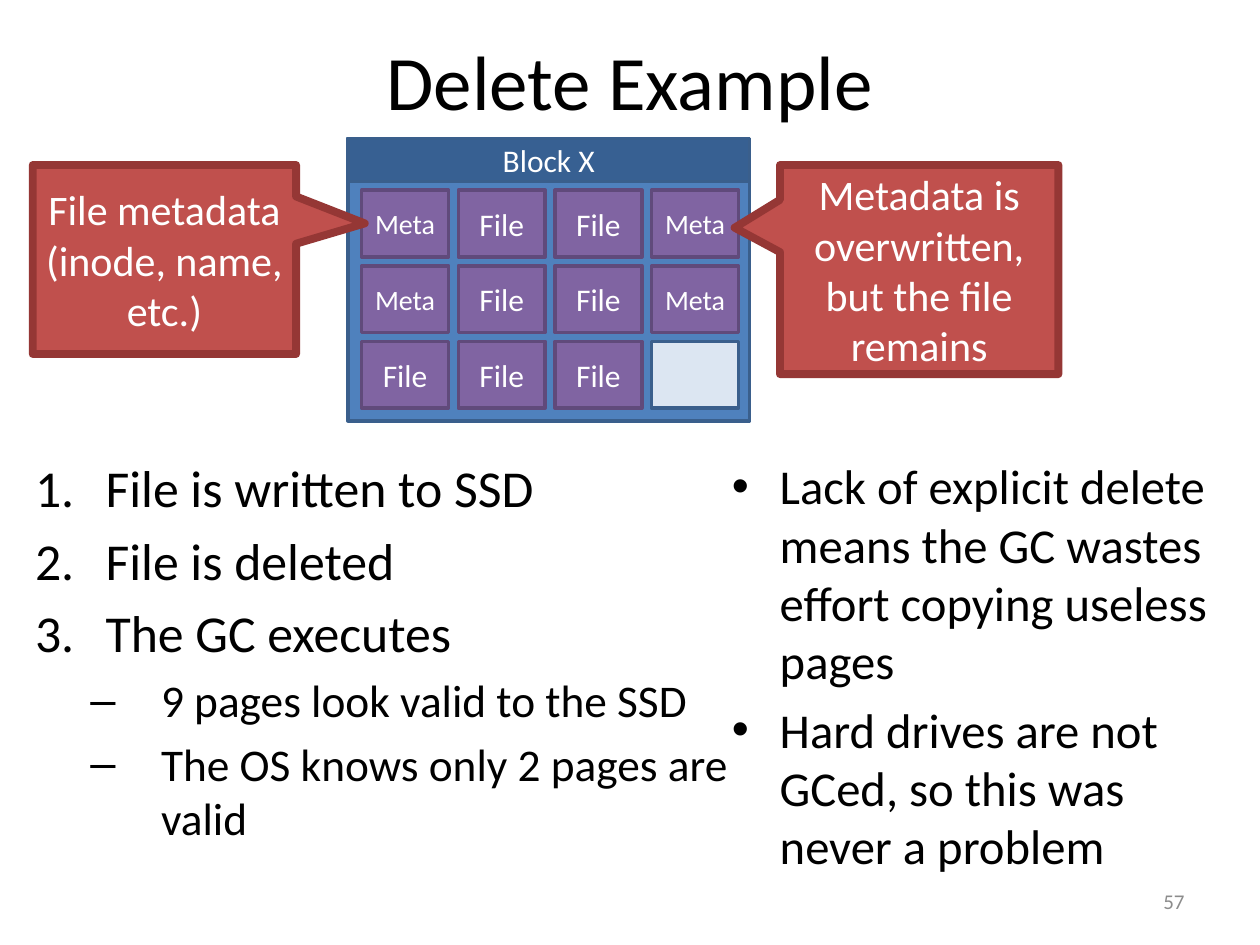
from lxml import etree
from pptx import Presentation
from pptx.dml.color import RGBColor
from pptx.enum.shapes import MSO_SHAPE
from pptx.enum.text import MSO_ANCHOR, PP_ALIGN
from pptx.oxml.ns import qn
from pptx.util import Inches, Pt

RECT = MSO_SHAPE.RECTANGLE
CALLOUT = MSO_SHAPE.RECTANGULAR_CALLOUT
LEFT, CENTER, RIGHT = PP_ALIGN.LEFT, PP_ALIGN.CENTER, PP_ALIGN.RIGHT
TOP, MIDDLE = MSO_ANCHOR.TOP, MSO_ANCHOR.MIDDLE

BLACK = RGBColor(0x00, 0x00, 0x00)
WHITE = RGBColor(0xFF, 0xFF, 0xFF)
GRAY = RGBColor(0x8C, 0x8C, 0x8C)
BLUE = RGBColor(0x4F, 0x81, 0xBD)
NAVY = RGBColor(0x37, 0x60, 0x92)
EDGE = RGBColor(0x3A, 0x5F, 0x8C)
PALE = RGBColor(0xDC, 0xE6, 0xF2)
PURPLE = RGBColor(0x80, 0x64, 0xA2)
PLUM = RGBColor(0x60, 0x4A, 0x7B)
RED = RGBColor(0xC0, 0x50, 0x4D)
MAROON = RGBColor(0x95, 0x37, 0x35)

FONT = "Calibri"
PAGES = [
    ["Meta", "File", "File", "Meta"],
    ["Meta", "File", "File", "Meta"],
    ["File", "File", "File", ""],
]
STEPS = ["File is written to SSD", "File is deleted", "The GC executes"]
NOTES = ["9 pages look valid to the SSD", "The OS knows only 2 pages are valid"]
POINTS = [
    "Lack of explicit delete means the GC wastes effort copying useless pages",
    "Hard drives are not GCed, so this was never a problem",
]


def write(para, text, size=18, color=BLACK, align=LEFT):
    para.alignment = align
    run = para.add_run()
    run.text = text
    run.font.name = FONT
    run.font.size = Pt(size)
    run.font.color.rgb = color


def add_frame(slide, box, anchor=TOP):
    frame = slide.shapes.add_textbox(*map(Inches, box)).text_frame
    frame.word_wrap = True
    frame.vertical_anchor = anchor
    return frame


def add_box(slide, box, fill, line, text="", size=18, kind=RECT, width=2):
    shape = slide.shapes.add_shape(kind, *map(Inches, box))
    shape.shadow.inherit = False
    shape.fill.solid()
    shape.fill.fore_color.rgb = fill
    shape.line.color.rgb = line
    shape.line.width = Pt(width)
    frame = shape.text_frame
    frame.word_wrap = True
    frame.vertical_anchor = MIDDLE
    frame.margin_left = frame.margin_right = Inches(0.08)
    if text:
        write(frame.paragraphs[0], text, size=size, color=WHITE, align=CENTER)
    return shape


def add_callout(slide, box, text, tip):
    shape = add_box(slide, box, RED, MAROON, text, size=24, kind=CALLOUT, width=4.5)
    for i, value in enumerate(tip):
        shape.adjustments[i] = value


def set_bullet(para, mark, left, hang):
    props = para._p.get_or_add_pPr()
    props.set("marL", str(Inches(left)))
    props.set("indent", str(-Inches(hang)))
    if mark == "1.":
        etree.SubElement(props, qn("a:buFont"), typeface="+mj-lt")
        etree.SubElement(props, qn("a:buAutoNum"), type="arabicPeriod")
    else:
        etree.SubElement(props, qn("a:buFont"), typeface="Arial")
        etree.SubElement(props, qn("a:buChar"), char=mark)


def add_items(frame, items, mark, size, left, hang, level=0):
    for text in items:
        para = frame.paragraphs[0]
        if para.runs:
            para = frame.add_paragraph()
        para.level = level
        para.space_before = Pt(round(size * 0.2, 1))
        write(para, text, size=size)
        set_bullet(para, mark, left, hang)


def add_block(slide):
    add_box(slide, (2.76, 1.1, 3.19, 2.24), BLUE, EDGE)
    add_box(slide, (2.76, 1.1, 3.19, 0.34), NAVY, EDGE, "Block X")
    for row, names in enumerate(PAGES):
        for col, name in enumerate(names):
            box = (2.87 + col * 0.767, 1.51 + row * 0.6, 0.69, 0.53)
            fill, line = (PURPLE, PLUM) if name else (PALE, EDGE)
            size = 16 if name == "Meta" else 18
            add_box(slide, box, fill, line, name, size=size)


def main():
    deck = Presentation()
    deck.slide_width, deck.slide_height = Inches(10), Inches(7.5)
    slide = deck.slides.add_slide(deck.slide_layouts[6])

    # Title
    title = add_frame(slide, (0.5, 0.01, 9, 1.25), MIDDLE)
    write(title.paragraphs[0], "Delete Example", size=44, align=CENTER)

    # Flash block and its callouts
    add_block(slide)
    add_callout(slide, (0.26, 1.31, 2.09, 1.5),
                "File metadata (inode, name, etc.)", (0.761, -0.191))
    add_callout(slide, (6.19, 1.31, 2.21, 1.66),
                "Metadata is overwritten, but the file remains", (-0.663, -0.2))

    # Numbered steps on the left, remarks on the right
    steps = add_frame(slide, (0.18, 3.57, 5.7, 3.61))
    add_items(steps, STEPS, "1.", 29.6, 0.56, 0.56)
    add_items(steps, NOTES, "–", 25.9, 1, 0.56, level=1)
    points = add_frame(slide, (5.71, 3.57, 4.12, 3.61))
    add_items(points, POINTS, "•", 27.8, 0.38, 0.38)

    # Slide number
    number = add_frame(slide, (7.17, 6.95, 2.33, 0.4), MIDDLE)
    write(number.paragraphs[0], "57", size=12, color=GRAY, align=RIGHT)

    deck.save("out.pptx")


if __name__ == "__main__":
    main()
